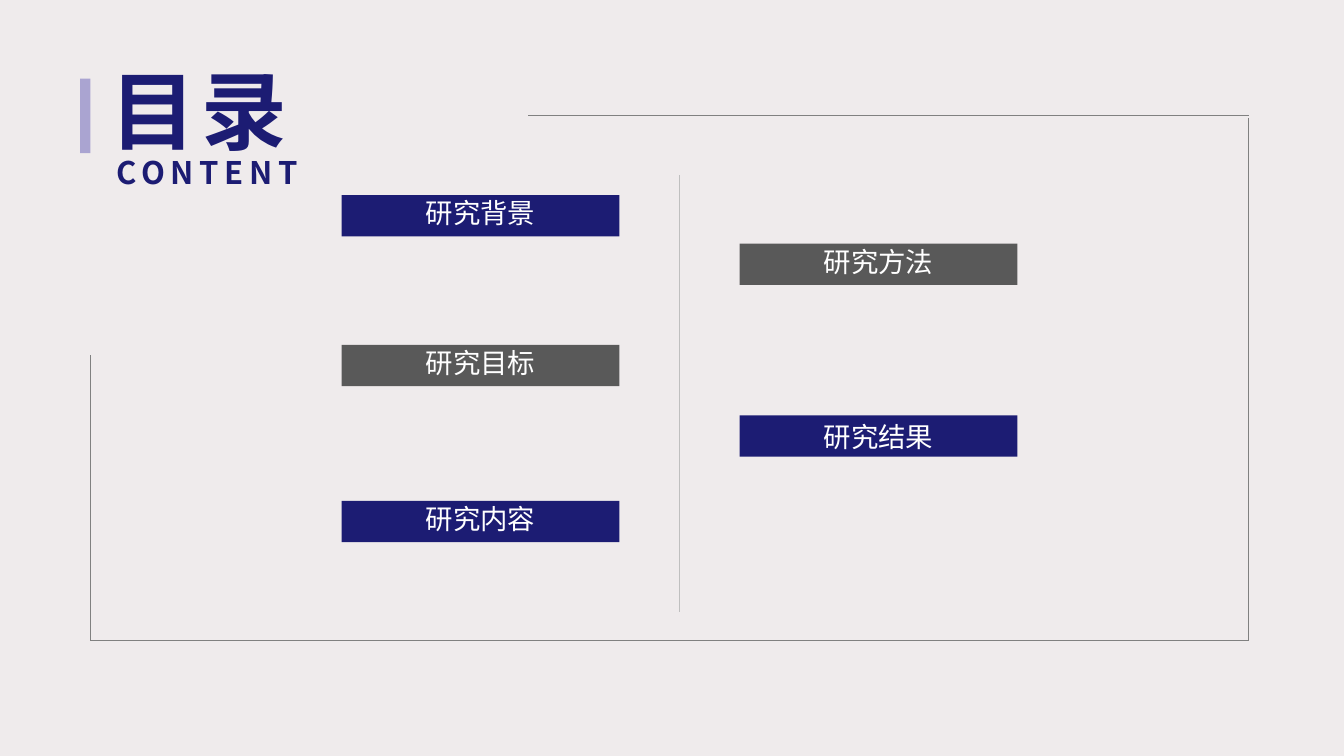
import pptx
import pptx.util
from pptx.dml.color import RGBColor
from pptx.enum.shapes import MSO_CONNECTOR, MSO_SHAPE
from pptx.enum.text import MSO_ANCHOR, PP_ALIGN
from pptx.oxml.ns import qn
from lxml import etree

Cm, Pt = pptx.util.Cm, pptx.util.Pt
NAVY = RGBColor(0x1C, 0x1C, 0x73)
SLATE = RGBColor(0x59, 0x59, 0x59)
LILAC = RGBColor(0xAA, 0xA4, 0xD1)
PAPER = RGBColor(0xEF, 0xEB, 0xEC)
WHITE = RGBColor(0xFF, 0xFF, 0xFF)
FRAME_GREY = RGBColor(0x80, 0x80, 0x80)
DIVIDER_GREY = RGBColor(0xBF, 0xBF, 0xBF)
FONT = "Noto Sans CJK SC"

TITLE, SUBTITLE = "目录", "CONTENT"
COLUMNS = [
    (8.61, [("研究背景", 4.92, NAVY, 0.8), ("研究目标", 8.69, SLATE, 0.8),
            ("研究内容", 12.62, NAVY, 0.8)]),
    (18.64, [("研究方法", 6.14, SLATE, 0.8), ("研究结果", 10.47, NAVY, 1.0)]),
]
BAR_W, BAR_H = 7.0, 1.04
LEFT, RIGHT, TOP, BOTTOM = 2.28, 31.47, 2.91, 16.13
LINES = [
    ((17.12, 4.42), (17.12, 15.42), DIVIDER_GREY),
    ((13.31, TOP), (RIGHT, TOP), FRAME_GREY),
    ((RIGHT, 2.97), (RIGHT, BOTTOM), FRAME_GREY),
    ((RIGHT, BOTTOM), (LEFT, BOTTOM), FRAME_GREY),
    ((LEFT, BOTTOM), (LEFT, 8.94), FRAME_GREY),
]
BAR_FRAME = {"vertical_anchor": MSO_ANCHOR.MIDDLE, "word_wrap": False,
             "margin_left": Cm(0.33), "margin_right": Cm(0.33),
             "margin_top": Cm(0.18), "margin_bottom": Cm(0.18)}
HEADING_FRAME = {"vertical_anchor": MSO_ANCHOR.TOP, "word_wrap": True}


def apply(target, values):
    """Set each named attribute on the target."""
    for name, value in values.items():
        setattr(target, name, value)


def write(tf, text, size, color, align, frame, spacing=0.8, bold=False, tracking=0):
    """Fill a text frame with one formatted run."""
    apply(tf, frame)
    p = tf.paragraphs[0]
    apply(p, {"alignment": align, "line_spacing": spacing})
    r = p.add_run()
    r.text = text
    apply(r.font, {"name": FONT, "size": Pt(size), "bold": bold})
    r.font.color.rgb = color
    rPr = r.font._element
    rPr.set("spc", str(tracking * 100))
    ea = etree.Element(qn("a:ea"), typeface=FONT)
    rPr.find(qn("a:latin")).addnext(ea)


def add_bar(s, left, top, width, height, color):
    """Add a flat filled rectangle."""
    sp = s.shapes.add_shape(MSO_SHAPE.RECTANGLE, Cm(left), Cm(top), Cm(width), Cm(height))
    sp.shadow.inherit = False
    sp.fill.solid()
    sp.fill.fore_color.rgb = color
    sp.line.fill.background()
    return sp


def add_line(s, start, end, color):
    """Add a thin straight line."""
    x1, y1, x2, y2 = (Cm(v) for v in start + end)
    line = s.shapes.add_connector(MSO_CONNECTOR.STRAIGHT, x1, y1, x2, y2)
    line.line.width = Pt(0.5)
    line.line.color.rgb = color
    etree.SubElement(line._element.spPr, qn("a:effectLst"))


def main():
    """Build the contents slide."""
    prs = pptx.Presentation()
    apply(prs, {"slide_width": Cm(33.87), "slide_height": Cm(19.05)})
    s = prs.slides.add_slide(prs.slide_layouts[5])
    s.background.fill.solid()
    s.background.fill.fore_color.rgb = PAPER

    title = s.shapes.title
    apply(title, {"left": Cm(2.52), "top": Cm(1.83), "width": Cm(10.21), "height": Cm(2.57)})
    write(title.text_frame, TITLE, 61.2, NAVY, PP_ALIGN.LEFT, HEADING_FRAME,
          bold=True, tracking=4)
    subtitle = s.shapes.add_textbox(Cm(2.69), Cm(3.93), Cm(5.4), Cm(1.02))
    write(subtitle.text_frame, SUBTITLE, 22.2, NAVY, PP_ALIGN.LEFT, HEADING_FRAME,
          bold=True, tracking=4)

    add_bar(s, 2.02, 1.98, 0.26, 1.88, LILAC)
    for left, entries in COLUMNS:
        for text, top, color, spacing in entries:
            bar = add_bar(s, left, top, BAR_W, BAR_H, color)
            write(bar.text_frame, text, 19.6, WHITE, PP_ALIGN.CENTER, BAR_FRAME, spacing)
    for start, end, color in LINES:
        add_line(s, start, end, color)

    prs.save("out.pptx")


if __name__ == "__main__":
    main()
